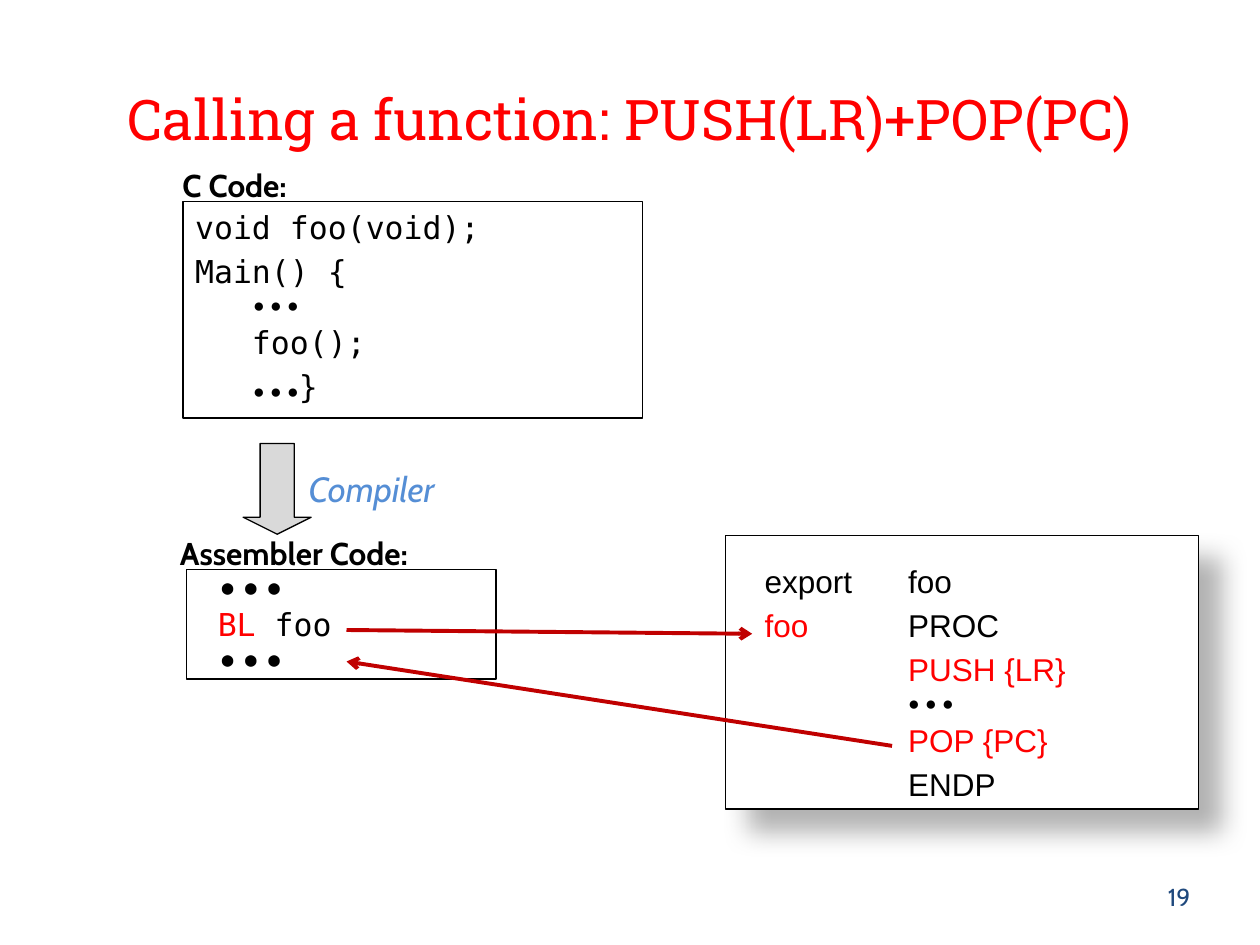
import pptx
import pptx.util
import pptx.dml.color
import pptx.enum.shapes
import pptx.enum.text
import pptx.oxml
import pptx.oxml.ns

RGB = pptx.dml.color.RGBColor
RED, BLACK, WHITE = RGB(255, 0, 0), RGB(0, 0, 0), RGB(255, 255, 255)
GRAY, BLUE, NAVY = RGB(0xD9, 0xD9, 0xD9), RGB(0x55, 0x8E, 0xD5), RGB(0x1F, 0x49, 0x7D)
DARK_RED = RGB(0xC0, 0, 0)
SANS, MONO, LABEL, HEAD = "Arial", "DejaVu Sans Mono", "Cabin", "Roboto Slab"

# Content: each line is a list of (text, size, font, colour) runs
DOTS = ("● ● ●", 11, SANS, BLACK)
INDENT = ("     ", 11, MONO, BLACK)
ASM_DOTS = ("  ● ● ●", 11, MONO, BLACK)


def mono(text, color=BLACK):
    return (text, 18, MONO, color)


def sans(text, color=BLACK):
    return (text, 18, SANS, color)


TITLE = [[("Calling a function: PUSH(LR)+POP(PC)", 32, HEAD, RED)]]
C_CODE = [
    [mono("void foo(void);")],
    [mono("Main() {")],
    [INDENT, DOTS],
    [mono("   foo();")],
    [INDENT, DOTS, mono("}")],
]
ASM_CODE = [[ASM_DOTS], [mono(" "), mono("BL ", RED), mono("foo")], [ASM_DOTS]]
FOO_CODE = [
    [sans("export\tfoo")],
    [sans("foo", RED), sans("\tPROC")],
    [sans("\tPUSH {LR}", RED)],
    [("\t● ● ●", 11, SANS, BLACK)],
    [sans("\tPOP {PC}", RED)],
    [sans("\tENDP")],
]
# text, size, colour, bold, italic, wrap, box
LABELS = [
    ("C Code:", 18, BLACK, True, False, False, (13.5, 16.93, 11.7, 5.33)),
    ("Compiler", 20, BLUE, False, True, True, (23.5, 48.8, 14.2, 5.73)),
    ("Assembler Code:", 18, BLACK, True, False, False, (13.3, 55.87, 22.3, 5.33)),
    ("19", 14, NAVY, False, False, True, (91.7, 92.67, 8.3, 5.33)),
]
# Call and return, in percent of the slide
JUMPS = [(27.5, 66.67, 59.7, 67.07), (70.8, 78.93, 27.5, 70)]
OPERAND_TAB = 1.14  # inches

prs = pptx.Presentation()
prs.slide_width = pptx.util.Inches(10)
prs.slide_height = pptx.util.Inches(7.5)
slide = prs.slides.add_slide(prs.slide_layouts[6])
shapes = slide.shapes
KIND = pptx.enum.shapes.MSO_SHAPE


def place(*percents):
    """Turn alternating x and y percentages into slide lengths."""
    sides = (prs.slide_width, prs.slide_height) * 2
    return [int(side * share / 100) for side, share in zip(sides, percents)]


def add_xml(parent, xml, index=None):
    ns = pptx.oxml.ns.nsdecls("a")
    element = pptx.oxml.parse_xml(xml.replace("NS", ns, 1))
    parent.insert(len(parent) if index is None else index, element)


def write(shape, lines, tab=None, wrap=True):
    frame = shape.text_frame
    frame.word_wrap = wrap
    frame.vertical_anchor = pptx.enum.text.MSO_ANCHOR.TOP
    for number, runs in enumerate(lines):
        paragraph = frame.add_paragraph() if number else frame.paragraphs[0]
        paragraph.alignment = pptx.enum.text.PP_ALIGN.LEFT
        properties = paragraph._p.get_or_add_pPr()
        if number:
            add_xml(properties, '<a:spcBef NS><a:spcPct val="20000"/></a:spcBef>')
        if tab:
            position = pptx.util.Inches(tab)
            add_xml(properties, f'<a:tabLst NS><a:tab pos="{position}" algn="l"/></a:tabLst>')
        for text, size, name, color in runs:
            run = paragraph.add_run()
            run.text = text
            font = paragraph.font if len(runs) == 1 else run.font
            font.size, font.name = pptx.util.Pt(size), name
            font.color.rgb = color
    return frame


def add_outlined(kind, box, fill, width):
    shape = shapes.add_shape(kind, *place(*box))
    shape.shadow.inherit = False
    if fill is None:
        shape.fill.background()
    else:
        shape.fill.solid()
        shape.fill.fore_color.rgb = fill
    shape.line.color.rgb = BLACK
    shape.line.width = pptx.util.Pt(width)
    return shape


# Panel of the called function, with a soft shadow
panel = add_outlined(KIND.RECTANGLE, (57.6, 56.67, 37.5, 28.93), WHITE, 0.75)
blur, distance = pptx.util.Pt(15), pptx.util.Pt(18)
effects = panel._element.spPr.find(pptx.oxml.ns.qn("a:effectLst"))
add_xml(effects, f'<a:outerShdw NS blurRad="{blur}" dist="{distance}" dir="2700000" '
        'algn="tl" rotWithShape="0"><a:srgbClr val="000000"><a:alpha val="30000"/>'
        '</a:srgbClr></a:outerShdw>')

# Title
title = write(shapes.add_textbox(*place(5, 2.27, 90, 14.4)), TITLE)
title.vertical_anchor = pptx.enum.text.MSO_ANCHOR.BOTTOM
title.paragraphs[0].alignment = pptx.enum.text.PP_ALIGN.CENTER

# Compiler step and the code on either side of it
compile_arrow = add_outlined(KIND.DOWN_ARROW, (19.3, 46.93, 5.4, 9.6), GRAY, 0.75)
compile_arrow.adjustments[0], compile_arrow.adjustments[1] = 0.5, 0.25
write(add_outlined(KIND.RECTANGLE, (14.5, 21.33, 36.5, 22.93), WHITE, 1), C_CODE)
write(add_outlined(KIND.RECTANGLE, (14.8, 60.27, 24.6, 11.6), None, 1), ASM_CODE)
write(shapes.add_textbox(*place(59.7, 58.8, 33.3, 36.67)), FOO_CODE, OPERAND_TAB)

# Jump to the function and back
for jump in JUMPS:
    connector = shapes.add_connector(pptx.enum.shapes.MSO_CONNECTOR.STRAIGHT, *place(*jump))
    connector.line.color.rgb = DARK_RED
    connector.line.width = pptx.util.Pt(2.25)
    add_xml(connector.line._get_or_add_ln(), '<a:tailEnd NS type="arrow"/>')
    add_xml(connector._element.spPr, "<a:effectLst NS/>")

# Labels and slide number
for text, size, color, bold, italic, wrap, box in LABELS:
    label = write(shapes.add_textbox(*place(*box)), [[(text, size, LABEL, color)]], wrap=wrap)
    label.paragraphs[0].font.bold = bold
    label.paragraphs[0].font.italic = italic

prs.save("out.pptx")
